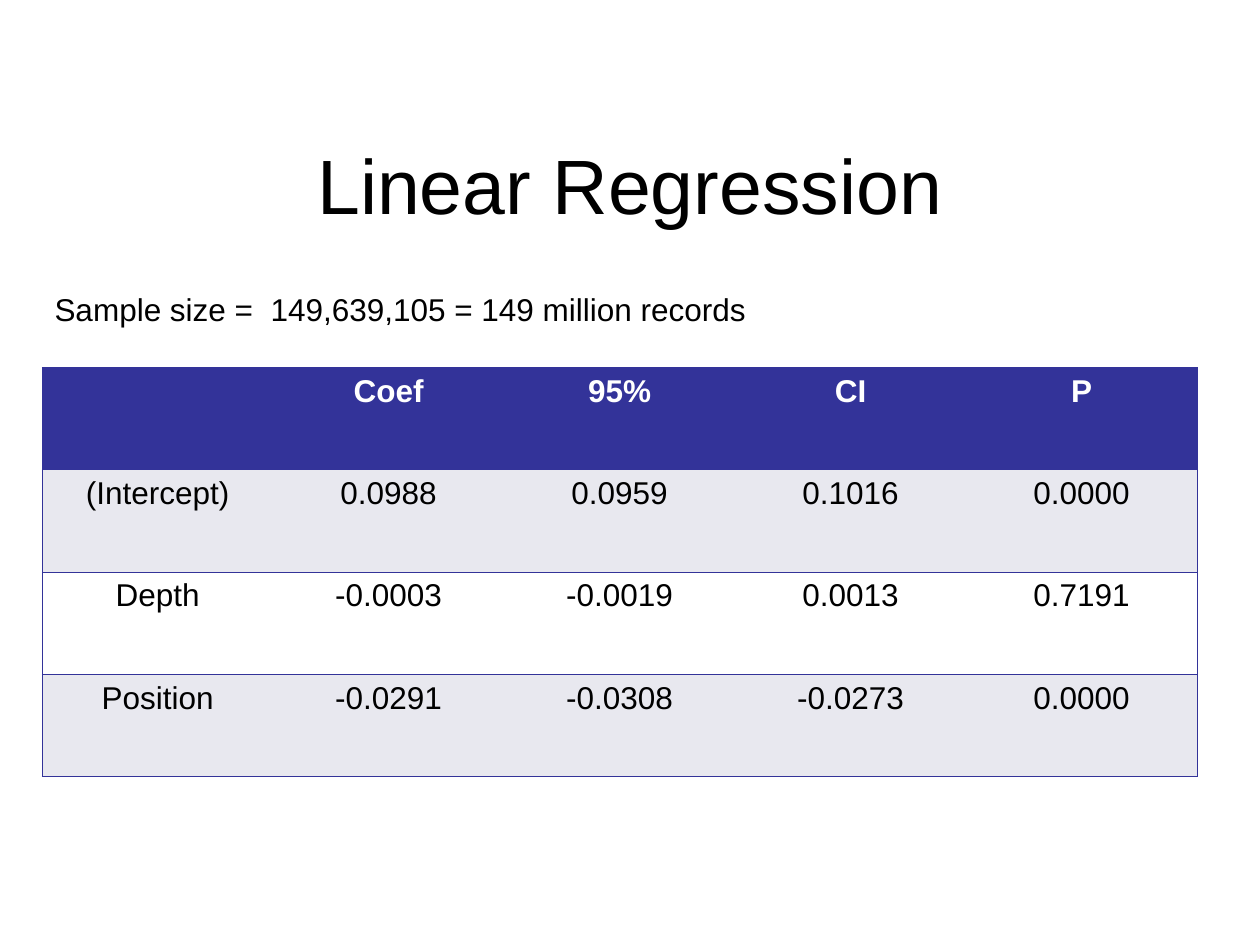
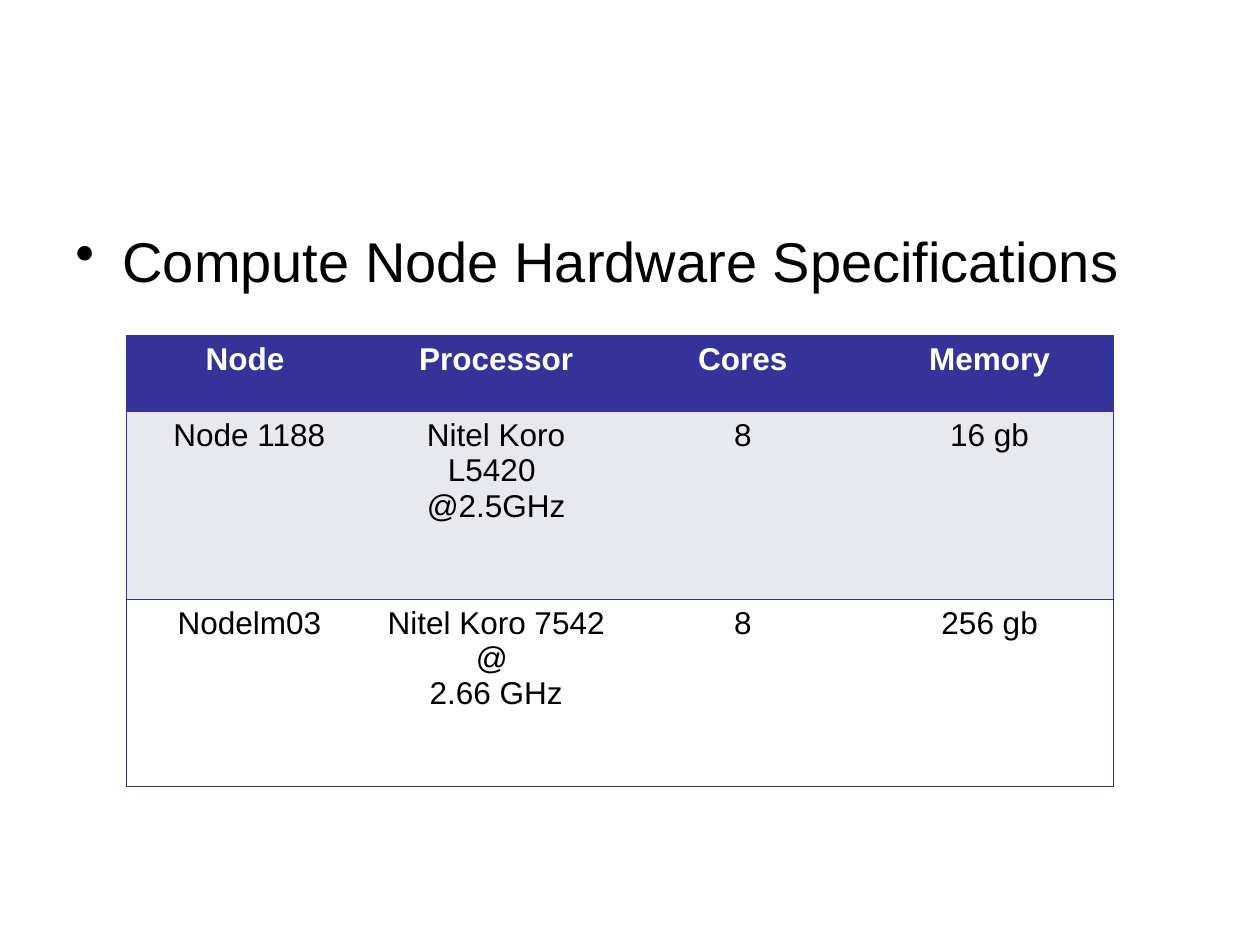
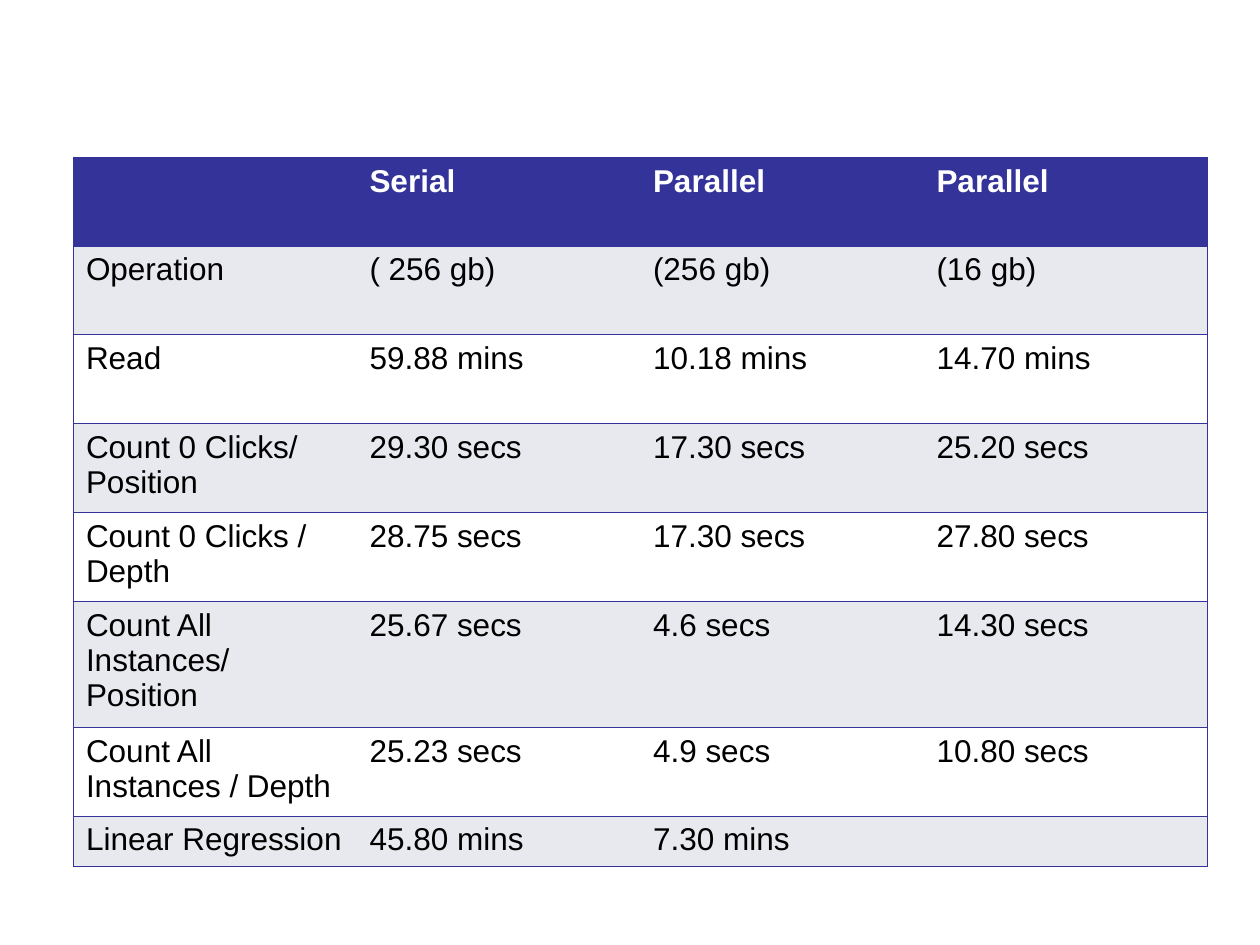
from dataclasses import dataclass

from pptx import Presentation
from pptx.dml.color import RGBColor as RGB
from pptx.enum.text import MSO_ANCHOR as ANCHOR, PP_ALIGN as ALIGN
from pptx.oxml.ns import qn
from pptx.util import Cm, Pt
from lxml.etree import SubElement


@dataclass(frozen=True)
class Theme:
    """Colours, font and sizes shared by all slides."""
    font: str = "Arial"
    text: str = "000000"
    header: str = "333399"
    header_text: str = "FFFFFF"
    band: str = "E8E8EF"
    plain: str = "FFFFFF"
    title_size: int = 44
    bullet_size: int = 32
    body_size: int = 18
    border: float = 0.45
    table_style: str = "{2D5ABB26-0587-4C30-8999-92F81FD0307C}"


THEME = Theme()

REGRESSION = [
    ["", "Coef", "95%", "CI", "P"],
    ["(Intercept)", "0.0988", "0.0959", "0.1016", "0.0000"],
    ["Depth", "-0.0003", "-0.0019", "0.0013", "0.7191"],
    ["Position", "-0.0291", "-0.0308", "-0.0273", "0.0000"],
]
HARDWARE = [
    ["Node ", "Processor", "Cores", "Memory"],
    ["Node 1188", "Nitel Koro L5420 \n@2.5GHz", "8", "16 gb"],
    ["Nodelm03", "Nitel Koro 7542 @ \n2.66 GHz", "8", "256 gb"],
]
TIMINGS = [
    ["", "Serial", "Parallel", "Parallel"],
    ["Operation", "( 256 gb)", "(256 gb)", "(16 gb)"],
    ["Read", "59.88 mins", "10.18 mins", "14.70 mins"],
    ["Count 0 Clicks/ Position", "29.30 secs", "17.30 secs", "25.20 secs"],
    ["Count 0 Clicks / Depth", "28.75 secs", "17.30 secs", "27.80 secs"],
    ["Count All Instances/ Position", "25.67 secs", "4.6 secs", "14.30 secs"],
    ["Count All Instances / Depth", "25.23 secs", "4.9 secs", "10.80 secs"],
    ["Linear Regression", "45.80 mins", "7.30 mins", ""],
]


def style_text(tf, size, color=THEME.text, align=ALIGN.LEFT, bold=False):
    """Format every paragraph and run of a text frame."""
    for p in tf.paragraphs:
        p.alignment = align
        for font in [p.font] + [r.font for r in p.runs]:
            font.name, font.size, font.bold = THEME.font, Pt(size), bold
            font.color.rgb = RGB.from_string(color)


def add_text(slide, text, left, top, width, height, size, align=ALIGN.LEFT,
             anchor=ANCHOR.TOP):
    """Add a wrapped text box and return its text frame."""
    tf = slide.shapes.add_textbox(Cm(left), Cm(top), Cm(width), Cm(height)).text_frame
    tf.word_wrap = True
    tf.vertical_anchor = anchor
    tf.text = text
    style_text(tf, size, align=align)
    return tf


def add_title(slide, text):
    """Add the centred slide title."""
    add_text(slide, text, 1.27, 2.12, 22.86, 3.18, THEME.title_size,
             ALIGN.CENTER, ANCHOR.MIDDLE)


def add_bullet(slide, text):
    """Add a bulleted heading with a hanging indent."""
    tf = add_text(slide, text, 1.27, 4.45, 22.86, 12.57, THEME.bullet_size)
    pPr = tf.paragraphs[0]._p.get_or_add_pPr()
    pPr.set("marL", str(Cm(0.95)))
    pPr.set("indent", str(-Cm(0.95)))
    bullet = pPr.makeelement(qn("a:buChar"), {"char": "•"})
    pPr.insert(0, bullet)


def add_borders(cell, sides):
    """Draw thin lines on the given sides of a cell."""
    tcPr = cell._tc.get_or_add_tcPr()
    for side in sides:
        ln = SubElement(tcPr, qn(f"a:ln{side}"), w=str(Pt(THEME.border)))
        fill = SubElement(ln, qn("a:solidFill"))
        SubElement(fill, qn("a:srgbClr"), val=THEME.header)


def row_colors(row):
    """Return the fill and text colours of a table row."""
    if row == 0:
        return THEME.header, THEME.header_text
    return (THEME.band if row % 2 else THEME.plain), THEME.text


def add_grid(slide, rows, left, top, width, heights, align=ALIGN.CENTER):
    """Add a banded table with equal columns and the given row heights."""
    n_cols = len(rows[0])
    table = slide.shapes.add_table(len(rows), n_cols, Cm(left), Cm(top),
                                   Cm(width), Cm(sum(heights))).table
    table._tbl.tblPr.find(qn("a:tableStyleId")).text = THEME.table_style
    for i, (values, height) in enumerate(zip(rows, heights)):
        table.rows[i].height = Cm(height)
        fill, color = row_colors(i)
        for j, value in enumerate(values):
            cell = table.cell(i, j)
            cell.text = value
            style_text(cell.text_frame, THEME.body_size, color, align, bold=i == 0)
            left_side = "L" if j == 0 else ""
            right_side = "R" if j == n_cols - 1 else ""
            add_borders(cell, left_side + right_side + "TB")
            cell.fill.solid()
            cell.fill.fore_color.rgb = RGB.from_string(fill)


def add_regression(slide):
    """Build the regression results slide."""
    add_title(slide, "Linear Regression")
    add_grid(slide, REGRESSION, 0.85, 7.41, 23.28, [2.06] * 4)
    add_text(slide, "Sample size =  149,639,105 = 149 million records",
             0.85, 5.72, 22.65, 1.02, THEME.body_size)


def add_hardware(slide):
    """Build the hardware slide."""
    add_bullet(slide, "Compute Node Hardware Specifications")
    add_grid(slide, HARDWARE, 2.54, 6.77, 19.9, [1.53, 3.78, 3.78])


def add_timings(slide):
    """Build the timings slide."""
    add_grid(slide, TIMINGS, 1.48, 3.17, 22.86,
             [1.79] * 5 + [2.54, 1.79, 1.02], ALIGN.LEFT)


def main():
    """Build and save the presentation."""
    prs = Presentation()
    prs.slide_width, prs.slide_height = Cm(25.4), Cm(19.05)
    for build in (add_regression, add_hardware, add_timings):
        build(prs.slides.add_slide(prs.slide_layouts[6]))
    prs.save("out.pptx")


if __name__ == "__main__":
    main()
